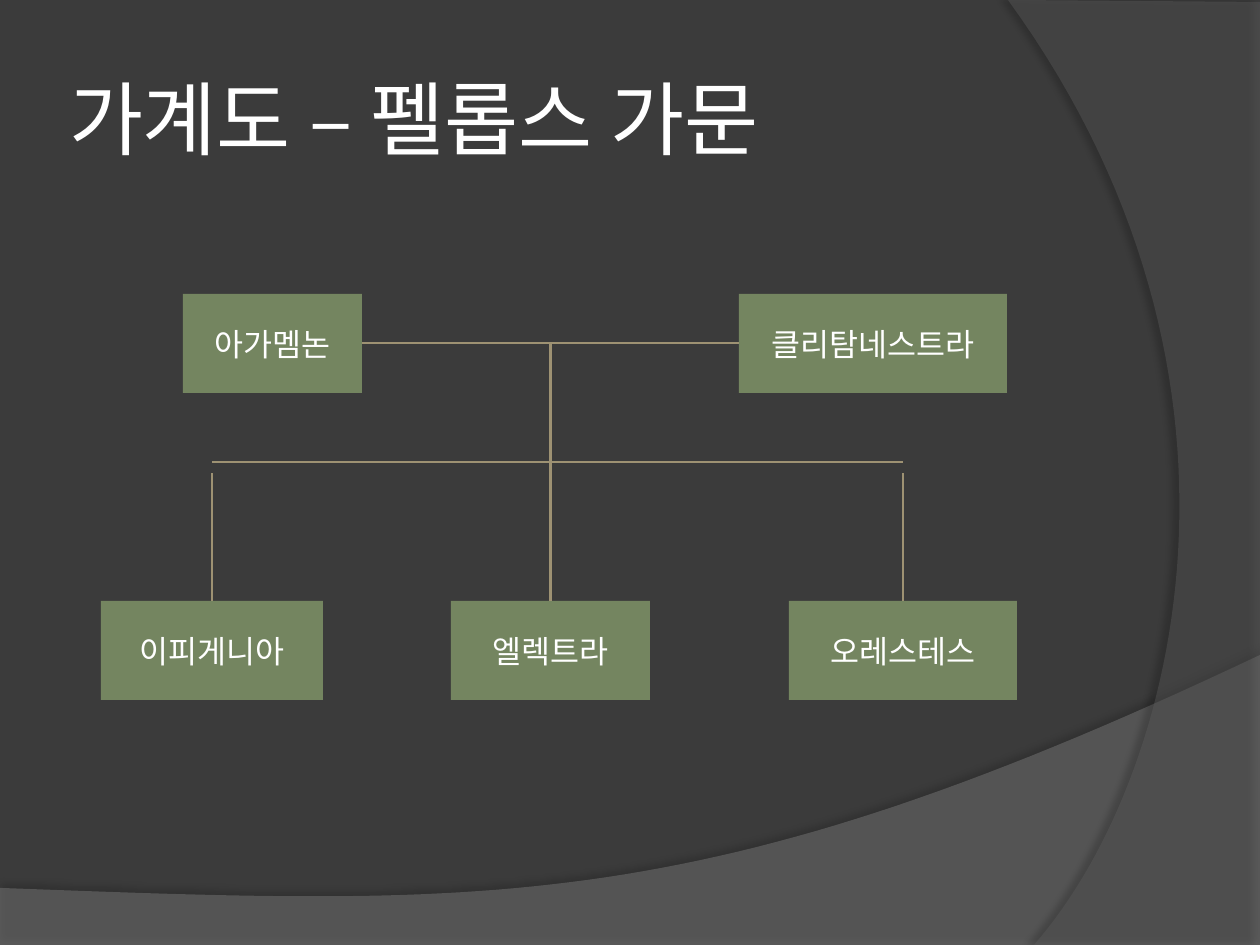
from lxml import etree
from pptx import Presentation
from pptx.dml.color import RGBColor
from pptx.enum.shapes import MSO_CONNECTOR, MSO_SHAPE
from pptx.enum.text import MSO_ANCHOR, MSO_AUTO_SIZE, PP_ALIGN
from pptx.oxml.ns import qn
from pptx.util import Emu, Pt

RECT, STRAIGHT = MSO_SHAPE.RECTANGLE, MSO_CONNECTOR.STRAIGHT
MIDDLE, NO_FIT = MSO_ANCHOR.MIDDLE, MSO_AUTO_SIZE.NONE
LEFT, CENTER = PP_ALIGN.LEFT, PP_ALIGN.CENTER

BACKGROUND = RGBColor(0x3B, 0x3B, 0x3B)
LOWER_BAND = RGBColor(0x7F, 0x7F, 0x7F)
RIGHT_BAND = RGBColor(0x5E, 0x5E, 0x5E)
GREEN = RGBColor(0x74, 0x85, 0x60)
TAN = RGBColor(0x9E, 0x92, 0x73)
WHITE = RGBColor(0xFF, 0xFF, 0xFF)

SLIDE_W, SLIDE_H = 1260, 945


def px(n):
    """Turn pixels (126 to the inch) into EMU."""
    return Emu(round(n * 914400 / 126))


def bezier(start, c1, c2, end, steps=60):
    """Return the points of a cubic curve, without its start."""
    points = []
    for i in range(1, steps + 1):
        t = i / steps
        u = 1 - t
        weights = (u ** 3, 3 * u * u * t, 3 * u * t * t, t ** 3)
        points.append(tuple(
            sum(w * p[axis] for w, p in zip(weights, (start, c1, c2, end)))
            for axis in (0, 1)))
    return points


class FamilyTree:
    """Style and element methods for one slide."""

    title_font, box_font = "Open Sans", "Arial"
    title_size, box_size = Pt(46), Pt(18)
    line_width, box_height = Pt(1.5), 99

    def __init__(self, slide):
        """Keep the slide and colour its background."""
        self.shapes = slide.shapes
        fill = slide.background.fill
        fill.solid()
        fill.fore_color.rgb = BACKGROUND

    def add_text(self, p, text, font, size):
        """Add one white run to a paragraph."""
        r = p.add_run()
        r.text = text
        r.font.name, r.font.size = font, size
        r.font.color.rgb = WHITE

    def title(self, text, x, y, w, h):
        """Place and fill the title placeholder."""
        sp = self.shapes.title
        sp.left, sp.top, sp.width, sp.height = map(px, (x, y, w, h))
        tf = sp.text_frame
        tf.vertical_anchor, tf.auto_size = MIDDLE, NO_FIT
        tf.margin_left = tf.margin_right = px(6)
        tf.margin_top = tf.margin_bottom = px(6)
        p = tf.paragraphs[0]
        p.alignment = LEFT
        self.add_text(p, text, self.title_font, self.title_size)

    def band(self, points, color, opacity, shadow_opacity, distance, angle):
        """Draw a translucent outline with a soft black shadow."""
        points = [(px(x), px(y)) for x, y in points]
        builder = self.shapes.build_freeform(*points[0])
        builder.add_line_segments(points[1:], close=True)
        sp = builder.convert_to_shape()
        sp.fill.solid()
        sp.fill.fore_color.rgb = color
        sp.line.fill.background()
        sp.shadow.inherit = False
        spPr = sp._element.spPr
        fill_color = spPr.find(qn("a:solidFill"))[0]
        etree.SubElement(fill_color, qn("a:alpha"), val=str(opacity * 1000))
        shadow = etree.SubElement(
            spPr.find(qn("a:effectLst")), qn("a:outerShdw"),
            blurRad=str(Pt(4)), dist=str(Pt(distance)),
            dir=str(angle * 60000), algn="ctr", rotWithShape="0")
        black = etree.SubElement(shadow, qn("a:srgbClr"), val="000000")
        etree.SubElement(black, qn("a:alpha"), val=str(shadow_opacity * 1000))

    def person(self, name, x, y, w):
        """Draw a named box."""
        sp = self.shapes.add_shape(RECT, px(x), px(y), px(w),
                                   px(self.box_height))
        sp.fill.solid()
        sp.fill.fore_color.rgb = GREEN
        sp.line.fill.background()
        sp.shadow.inherit = False
        tf = sp.text_frame
        tf.vertical_anchor = MIDDLE
        p = tf.paragraphs[0]
        p.alignment = CENTER
        self.add_text(p, name, self.box_font, self.box_size)

    def line(self, x1, y1, x2, y2):
        """Draw a straight line of descent or marriage."""
        cxn = self.shapes.add_connector(STRAIGHT, px(x1), px(y1),
                                        px(x2), px(y2))
        cxn.line.color.rgb = TAN
        cxn.line.width = self.line_width
        etree.SubElement(cxn._element.spPr, qn("a:effectLst"))


def main():
    """Build the slide and save it."""
    prs = Presentation()
    prs.slide_width, prs.slide_height = px(SLIDE_W), px(SLIDE_H)
    tree = FamilyTree(prs.slides.add_slide(prs.slide_layouts[5]))

    lower_start, right_start = (SLIDE_W, 655), (1034, SLIDE_H)
    tree.band([(0, 888), (0, SLIDE_H), (SLIDE_W, SLIDE_H), lower_start]
              + bezier(lower_start, (704, 919), (493, 906), (0, 888)),
              LOWER_BAND, 45, 35, 3.5, 270)
    tree.band([(SLIDE_W, 2), (SLIDE_W, SLIDE_H), right_start]
              + bezier(right_start, (1178, 780), (1283, 378), (1008, 0)),
              RIGHT_BAND, 40, 45, 4, 180)
    tree.title("가계도 – 펠롭스 가문", 63, 38, 1029, 158)

    parents_y, children_y = 294, 601
    parents = [("아가멤논", 183, 179), ("클리탐네스트라", 739, 268)]
    children = [("이피게니아", 101, 222), ("엘렉트라", 451, 199),
                ("오레스테스", 789, 228)]
    for row, y in ((parents, parents_y), (children, children_y)):
        for name, x, w in row:
            tree.person(name, x, y, w)

    marriage_y, siblings_y, drop_y = 343, 462, 473
    first, middle, last = [x + w / 2 for _, x, w in children]
    (_, father_x, father_w), (_, mother_x, _) = parents
    tree.line(father_x + father_w, marriage_y, mother_x, marriage_y)
    tree.line(middle, marriage_y, middle, children_y)
    for x in (first, last):
        tree.line(x, children_y, x, drop_y)
    tree.line(first, siblings_y, last, siblings_y)

    prs.save("out.pptx")


main()
